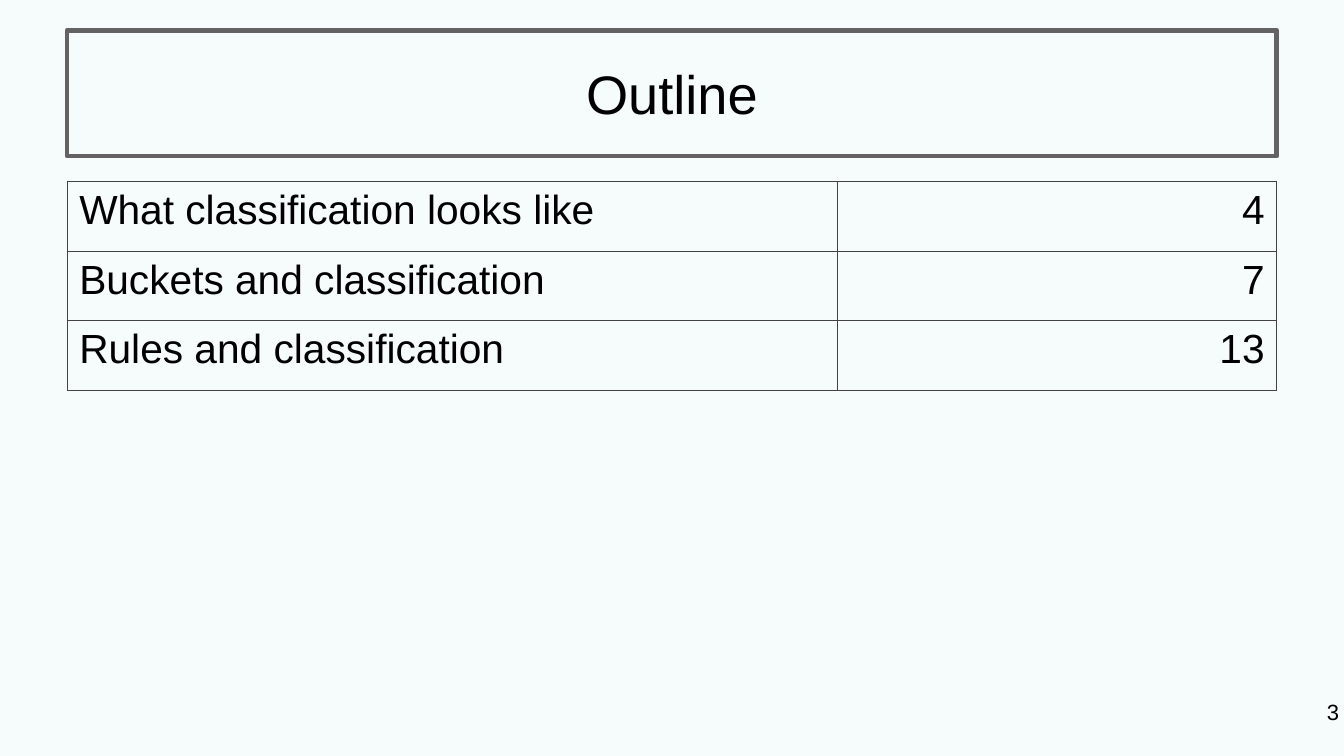
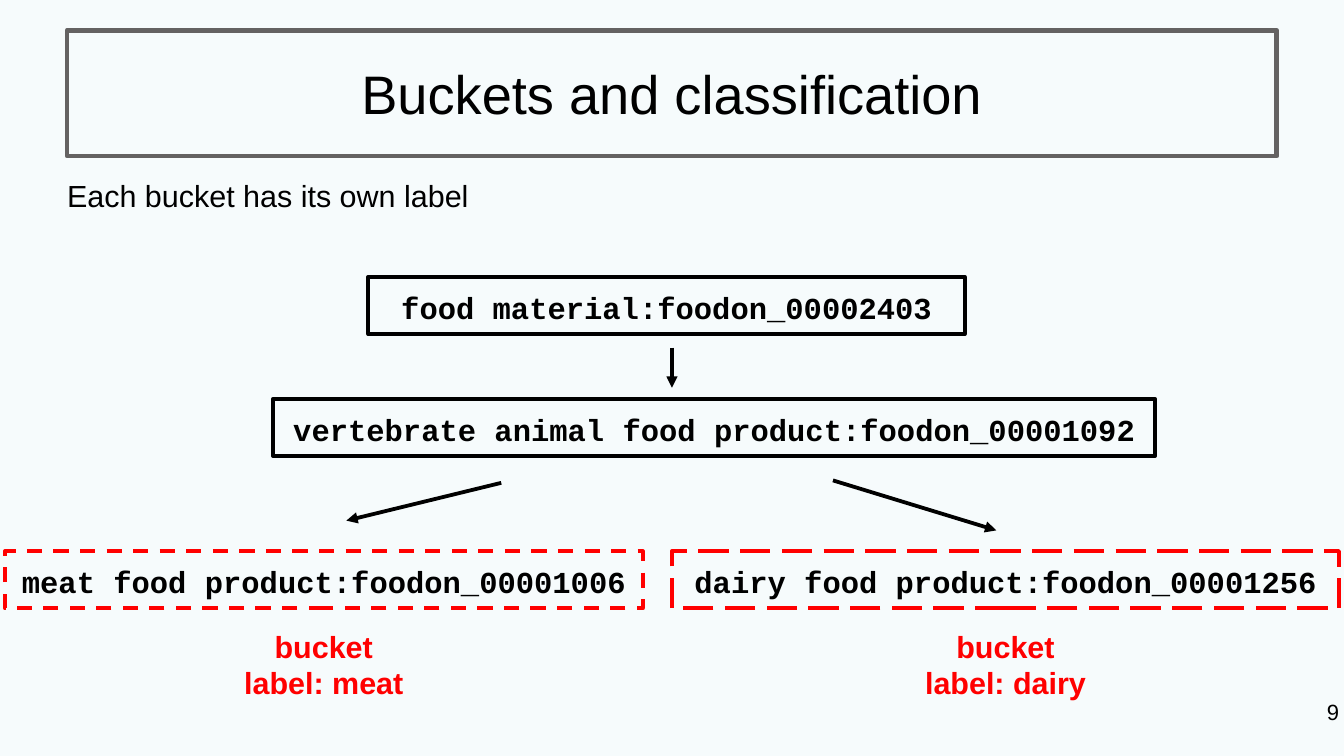
import pptx
import pptx.dml.color
import pptx.enum.dml
import pptx.enum.shapes
import pptx.enum.text
import pptx.oxml.ns
import pptx.util
from lxml import etree

Inches, Pt = pptx.util.Inches, pptx.util.Pt
Align = pptx.enum.text.PP_ALIGN
Anchor = pptx.enum.text.MSO_ANCHOR
Dash = pptx.enum.dml.MSO_LINE
qn = pptx.oxml.ns.qn


class Theme:
    back, ink, red = "F6FBFC", "000000", "FF0000"
    frame, grid = "646262", "434343"
    sans, mono = "Arial", "Courier New"
    title, cell, body, page = 32, 24, 18, 13
    rule, edge, thin = 2.83, 2.25, 0.75


WIDE, HIGH = 11.02, 6.2
LEFT, SPAN = 0.55, 9.92
BOX = 0.47

OUTLINE = [
    ("What classification looks like", "4"),
    ("Buckets and classification", "7"),
    ("Rules and classification", "13"),
]
COLS, ROW = (6.32, 3.6), 0.57

# text, left, top, width
TERMS = [
    ("food material:foodon_00002403", 3.02, 2.27, 4.89),
    ("vertebrate animal food product:foodon_00001092", 2.24, 3.27, 7.23),
]
# text, left, width, dash, label, label left
BUCKETS = [
    ("meat food product:foodon_00001006", 0.04, 5.23, Dash.DASH,
     "label: meat", 0.21),
    ("dairy food product:foodon_00001256", 5.51, 5.47, Dash.LONG_DASH,
     "label: dairy", 5.8),
]
BUCKET_TOP, LABEL_TOP, LABEL_WIDE = 4.52, 5.05, 4.89
ARROWS = [
    (5.51, 2.85, 5.51, 3.18),
    (4.11, 3.96, 2.84, 4.27),
    (6.83, 3.94, 8.17, 4.35),
]


def rgb(code):
    return pptx.dml.color.RGBColor.from_string(code)


def write(frame, text, size=Theme.body, font=Theme.sans, color=Theme.ink,
          bold=False, align=Align.LEFT, anchor=Anchor.TOP, inset=0.0):
    """Fill a text frame, one paragraph to each line of text."""
    frame.word_wrap = True
    frame.vertical_anchor = anchor
    frame.margin_left = frame.margin_right = Inches(inset)
    frame.margin_top = frame.margin_bottom = Inches(inset)
    for i, line in enumerate(text.split("\n")):
        para = frame.add_paragraph() if i else frame.paragraphs[0]
        para.alignment = align
        run = para.add_run()
        run.text = line
        run.font.size, run.font.name, run.font.bold = Pt(size), font, bold
        run.font.color.rgb = rgb(color)


def add_text(slide, text, x, y, w, h, **style):
    area = slide.shapes.add_textbox(Inches(x), Inches(y), Inches(w), Inches(h))
    write(area.text_frame, text, **style)


def add_box(slide, text, x, y, w, h, line, width=Theme.edge, dash=None, **style):
    box = slide.shapes.add_shape(
        pptx.enum.shapes.MSO_SHAPE.RECTANGLE,
        Inches(x), Inches(y), Inches(w), Inches(h))
    box.shadow.inherit = False
    box.fill.background()
    box.line.color.rgb = rgb(line)
    box.line.width = Pt(width)
    if dash:
        box.line.dash_style = dash
    write(box.text_frame, text, align=Align.CENTER, **style)


def add_term(slide, text, x, y, w, line=Theme.ink, dash=None):
    add_box(slide, text, x, y, w, BOX, line, dash=dash,
            font=Theme.mono, bold=True, inset=0.1)


def add_arrow(slide, *ends):
    arrow = slide.shapes.add_connector(
        pptx.enum.shapes.MSO_CONNECTOR.STRAIGHT, *map(Inches, ends))
    arrow.line.color.rgb = rgb(Theme.ink)
    arrow.line.width = Pt(Theme.edge)
    props = arrow.line._get_or_add_ln()
    etree.SubElement(props, qn("a:tailEnd"), type="triangle")
    etree.SubElement(arrow._element.spPr, qn("a:effectLst"))


def style_cell(cell):
    props = cell._tc.get_or_add_tcPr()
    for side in ("lnL", "lnR", "lnT", "lnB"):
        edge = etree.SubElement(props, qn("a:" + side), w=str(Pt(Theme.thin)))
        fill = etree.SubElement(edge, qn("a:solidFill"))
        etree.SubElement(fill, qn("a:srgbClr"), val=Theme.grid)
    cell.fill.background()


def add_grid(slide, rows, x, y):
    table = slide.shapes.add_table(
        len(rows), len(COLS), Inches(x), Inches(y),
        Inches(sum(COLS)), Inches(ROW * len(rows))).table
    table.first_row = table.horz_banding = False
    for col, wide in zip(table.columns, COLS):
        col.width = Inches(wide)
    for r, row in enumerate(rows):
        table.rows[r].height = Inches(ROW)
        for c, text in enumerate(row):
            cell = table.cell(r, c)
            style_cell(cell)
            write(cell.text_frame, text, size=Theme.cell,
                  align=Align.RIGHT if c else Align.LEFT)
            cell.margin_left = cell.margin_right = Inches(0.1)
            cell.margin_top = cell.margin_bottom = Inches(0.05)
            cell.vertical_anchor = Anchor.TOP


def add_slide(deck, title, page):
    slide = deck.slides.add_slide(deck.slide_layouts[6])
    slide.background.fill.solid()
    slide.background.fill.fore_color.rgb = rgb(Theme.back)
    add_box(slide, title, LEFT, 0.25, SPAN, 1.03, Theme.frame,
            width=Theme.rule, size=Theme.title, anchor=Anchor.MIDDLE)
    add_text(slide, page, 10.32, 5.73, 0.66, BOX,
             size=Theme.page, align=Align.RIGHT)
    return slide


def main():
    deck = pptx.Presentation()
    deck.slide_width, deck.slide_height = Inches(WIDE), Inches(HIGH)

    slide = add_slide(deck, "Outline", "3")
    add_grid(slide, OUTLINE, LEFT, 1.49)

    slide = add_slide(deck, "Buckets and classification", "9")
    add_text(slide, "Each bucket has its own label", LEFT, 1.45, 10.01, 0.4)
    for term in TERMS:
        add_term(slide, *term)
    for text, x, wide, dash, label, label_x in BUCKETS:
        add_term(slide, text, x, BUCKET_TOP, wide, line=Theme.red, dash=dash)
        add_text(slide, "bucket\n" + label, label_x, LABEL_TOP, LABEL_WIDE, BOX,
                 color=Theme.red, bold=True, align=Align.CENTER, inset=0.1)
    for ends in ARROWS:
        add_arrow(slide, *ends)

    deck.save("out.pptx")


if __name__ == "__main__":
    main()
